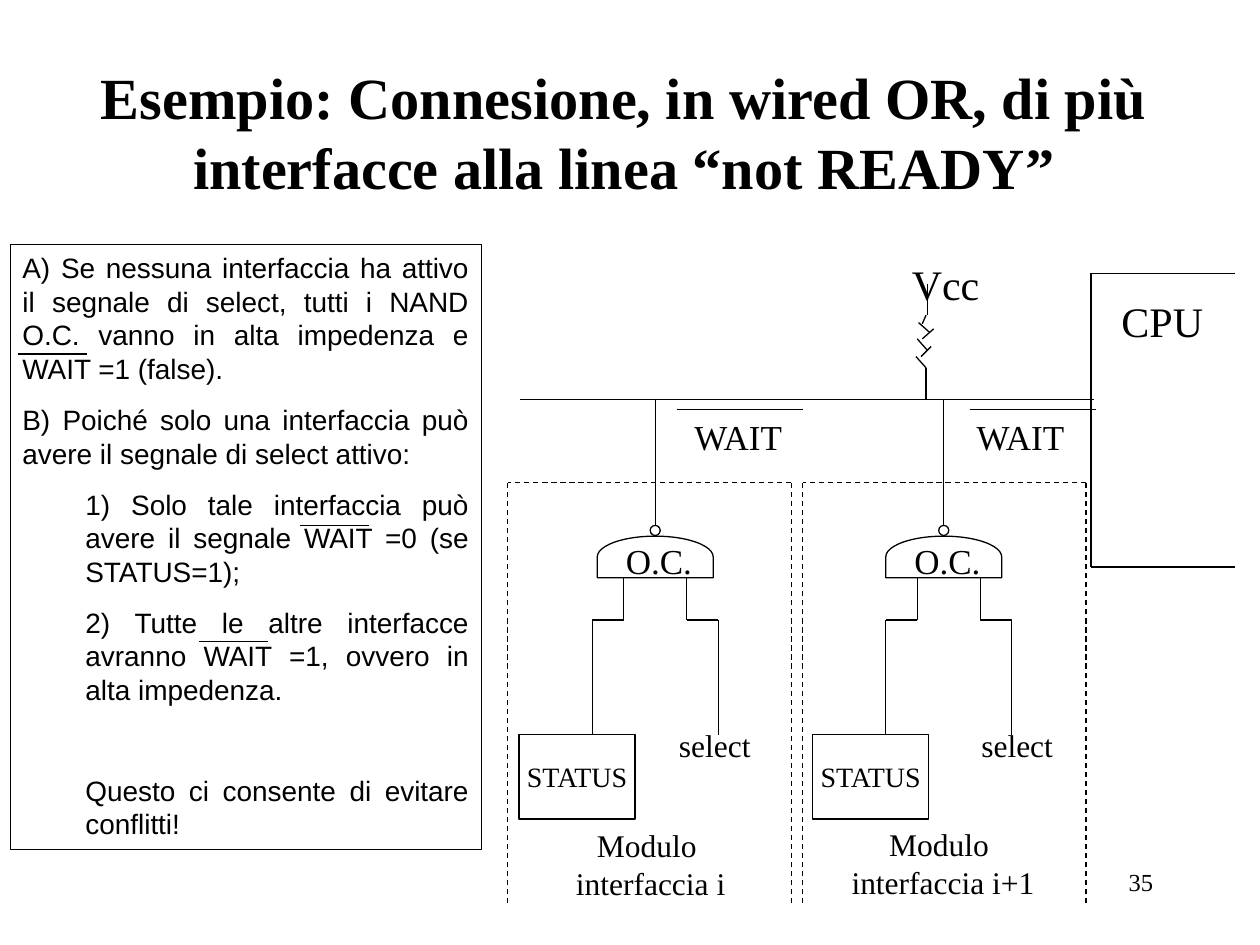
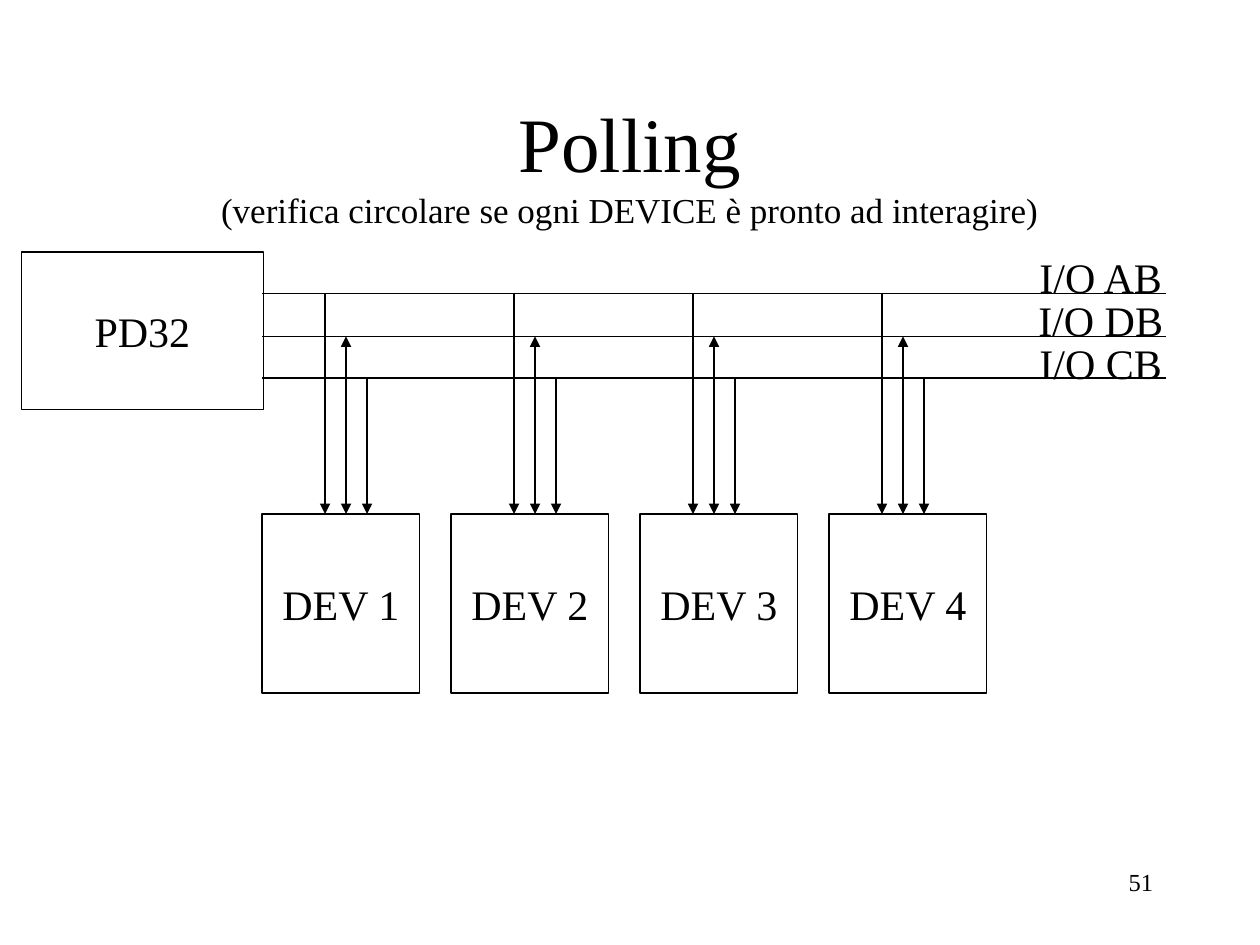
"""Build two slides on wired-OR interfaces and device polling."""
from pptx import Presentation
from pptx.dml.color import RGBColor
from pptx.enum.dml import MSO_LINE_DASH_STYLE as Dash
from pptx.enum.shapes import MSO_CONNECTOR as Connector, MSO_SHAPE as Shape
from pptx.enum.text import MSO_ANCHOR as Anchor, MSO_AUTO_SIZE as AutoSize, PP_ALIGN as Align
from pptx.oxml.ns import qn
from pptx.util import Inches, Pt

COLORS = {"ink": "000000", "paper": "FFFFFF"}
INK = RGBColor.from_string(COLORS["ink"])
PAPER = RGBColor.from_string(COLORS["paper"])
SERIF, SANS = "Times New Roman", "Arial"


def add_text(slide, text, at, shape=None, size=24, font=SERIF, bold=False,
             align=Align.CENTER, anchor=Anchor.TOP, wrap=True, outline=None):
    """Write text in the given shape, an outlined rectangle or a text box."""
    left, top, width, height = map(Inches, at)
    if shape:
        shape.left, shape.top, shape.width, shape.height = left, top, width, height
    elif outline:
        shape = slide.shapes.add_shape(Shape.RECTANGLE, left, top, width, height)
        shape.shadow.inherit = False
        shape.fill.background()
        shape.line.color.rgb = INK
        shape.line.width = Pt(outline)
    else:
        shape = slide.shapes.add_textbox(left, top, width, height)
    frame = shape.text_frame
    frame.text = text
    frame.auto_size = AutoSize.NONE
    frame.word_wrap = wrap
    frame.vertical_anchor = anchor
    for paragraph in frame.paragraphs:
        paragraph.alignment = align
        for run in paragraph.runs:
            run.font.name = font
            run.font.size = Pt(size)
            run.font.bold = bold
            run.font.color.rgb = INK
    return frame


def add_line(slide, x1, y1, x2, y2, dash=None, arrows=()):
    """Draw a thin straight line, with arrows naming its headed ends."""
    line = slide.shapes.add_connector(Connector.STRAIGHT, *map(Inches, (x1, y1, x2, y2)))
    line.line.color.rgb = INK
    line.line.width = Pt(0.75)
    if dash:
        line.line.dash_style = dash
    properties = line.element.spPr
    outline = properties.find(qn("a:ln"))
    for end in arrows:
        arrow = outline.makeelement(qn(f"a:{end}"), {"type": "triangle"})
        outline.append(arrow)
    properties.append(properties.makeelement(qn("a:effectLst"), {}))


presentation = Presentation()
presentation.slide_width, presentation.slide_height = Inches(10), Inches(7.5)
title_only = presentation.slide_layouts[5]

wired_slide, polling_slide = [presentation.slides.add_slide(title_only) for _ in range(2)]
for slide, number in ((wired_slide, "35"), (polling_slide, "51")):
    add_text(slide, number, (7.17, 6.83, 2.08, 0.5), size=14, align=Align.RIGHT)

slide = wired_slide
add_text(slide, "Esempio: Connesione, in wired OR, di più interfacce alla linea “not READY”",
         (0.33, 0.42, 9.25, 1.25), shape=slide.shapes.title, size=33.3, bold=True,
         anchor=Anchor.MIDDLE)

explanation = "\n".join([
    "A) Se nessuna interfaccia ha attivo il segnale di select, tutti i NAND O.C. "
    "vanno in alta impedenza e WAIT =1 (false).",
    "B) Poiché solo una interfaccia può avere il segnale di select attivo:",
    "1) Solo tale interfaccia può avere il segnale WAIT =0 (se STATUS=1);",
    "2) Tutte le altre interfacce avranno WAIT =1, ovvero in alta impedenza.",
    "Questo ci consente di evitare conflitti!",
])
frame = add_text(slide, explanation, (0.08, 1.94, 3.74, 4.8), size=16, font=SANS,
                 align=Align.JUSTIFY, outline=0.25)
for paragraph, space in zip(frame.paragraphs[1:], (10, 10, 10, 38.4)):
    paragraph.space_before = Pt(space)
for paragraph in frame.paragraphs[2:]:
    paragraph_properties = paragraph._p.get_or_add_pPr()
    paragraph_properties.set("marL", str(Inches(0.5)))
    paragraph_properties.set("indent", "0")
for x, y in ((0.14, 2.81), (2.38, 4.17), (1.58, 5.09)):
    add_line(slide, x, y, x + 0.55, y)

add_text(slide, "CPU", (8.8, 2.3, 0.85, 0.5), wrap=False)
add_text(slide, "Vcc", (7.14, 2, 0.73, 0.5), wrap=False)
cpu_edges = [(9.8, 2.17, 8.66, 2.17), (9.8, 4.5, 8.66, 4.5), (8.66, 2.17, 8.66, 4.5)]
wait_bus = [(8.68, 3.17, 4.13, 3.17)]
resistor = [
    (7.36, 2.25, 7.36, 2.5), (7.32, 2.57, 7.35, 2.5), (7.38, 2.64, 7.29, 2.56),
    (7.32, 2.69, 7.41, 2.61), (7.36, 2.78, 7.28, 2.69), (7.31, 2.83, 7.39, 2.75),
    (7.35, 2.92, 7.27, 2.83), (7.35, 2.92, 7.35, 3.17),
]
for ends in cpu_edges + wait_bus + resistor:
    add_line(slide, *ends)

modules = [
    ("interfaccia i", 4.03, 4.12, 5.2, 5.28, 5.29, 4.13, 6.51),
    ("interfaccia i+1", 6.37, 6.45, 7.49, 7.52, 7.69, 6.45, 6.5),
]
for name, border, status, gate, wait, select, caption, caption_top in modules:
    for ends in ((border, 7.17, border, 3.83), (border + 2.25, 7.17, border + 2.25, 3.83),
                 (border + 2.25, 3.83, border, 3.83)):
        add_line(slide, *ends, dash=Dash.DASH)
    add_line(slide, gate, 3.17, gate, 4.17)
    for preset, left, top, width, height in (
            (Shape.FLOWCHART_DELAY, gate - 0.165, 3.96, 0.33, 0.92),
            (Shape.OVAL, gate - 0.04, 4.17, 0.08, 0.08)):
        shape = slide.shapes.add_shape(preset, *map(Inches, (left, top, width, height)))
        shape.shadow.inherit = False
        shape.line.color.rgb = INK
        shape.line.width = Pt(0.75)
        if preset == Shape.OVAL:
            shape.fill.solid()
            shape.fill.fore_color.rgb = PAPER
        else:
            shape.fill.background()
            shape.rotation = 270
    add_text(slide, "O.C.", (gate - 0.47, 4.23, 1, 0.44), size=20)
    for inner, outer in ((0.83, 0.58), (1.33, 1.58)):
        add_line(slide, status + inner, 4.58, status + inner, 4.92)
        add_line(slide, status + inner, 4.92, status + outer, 4.92)
        add_line(slide, status + outer, 4.92, status + outer, 5.83)
    add_text(slide, "STATUS", (status, 5.83, 0.92, 0.67), size=16, anchor=Anchor.MIDDLE,
             wrap=False, outline=0.75)
    add_text(slide, "select", (select, 5.71, 0.77, 0.4), size=18, align=Align.LEFT, wrap=False)
    add_text(slide, "WAIT", (wait, 3.25, 1.16, 0.44), size=20)
    add_line(slide, status + 1.25, 3.25, status + 2.25, 3.25)
    add_text(slide, f"Modulo \n{name}", (caption, caption_top, 2.07, 0.7), size=18)

slide = polling_slide
frame = add_text(slide, "Polling\v(verifica circolare se ogni DEVICE è pronto ad interagire)",
                 (0.75, 0.67, 8.5, 1.25), shape=slide.shapes.title, size=44,
                 anchor=Anchor.MIDDLE)
frame.paragraphs[0].runs[1].font.size = Pt(20)

buses = [("I/O AB", 2.33, 1.95, ("tailEnd",)),
         ("I/O DB", 2.67, 2.29, ("headEnd", "tailEnd")),
         ("I/O CB", 3, 2.63, ("tailEnd",))]
for name, bus, label_top, _ in buses:
    add_line(slide, 2.08, bus, 9.25, bus)
    add_text(slide, name, (8.14, label_top, 1.19, 0.5), wrap=False)
add_text(slide, "PD32", (0.17, 2, 1.92, 1.25), anchor=Anchor.MIDDLE, wrap=False, outline=0.75)

for device, first_wire in enumerate((2.58, 4.08, 5.5, 7)):
    for wire, (_, bus, _, arrows) in enumerate(buses):
        x = first_wire + wire / 6
        add_line(slide, x, bus, x, 4.08, arrows=arrows)
    add_text(slide, f"DEV {device + 1}", (2.08 + 1.5 * device, 4.08, 1.25, 1.42),
             anchor=Anchor.MIDDLE, wrap=False, outline=0.75)

presentation.save("out.pptx")
